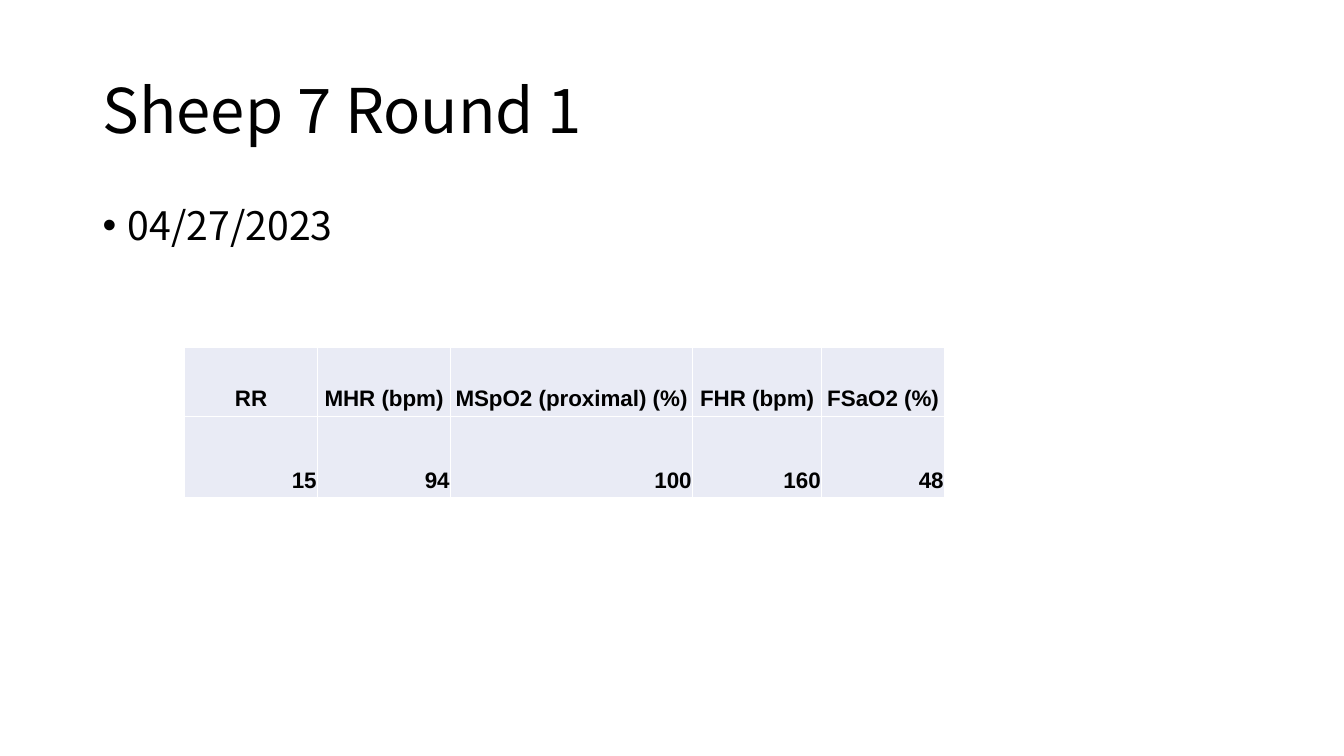
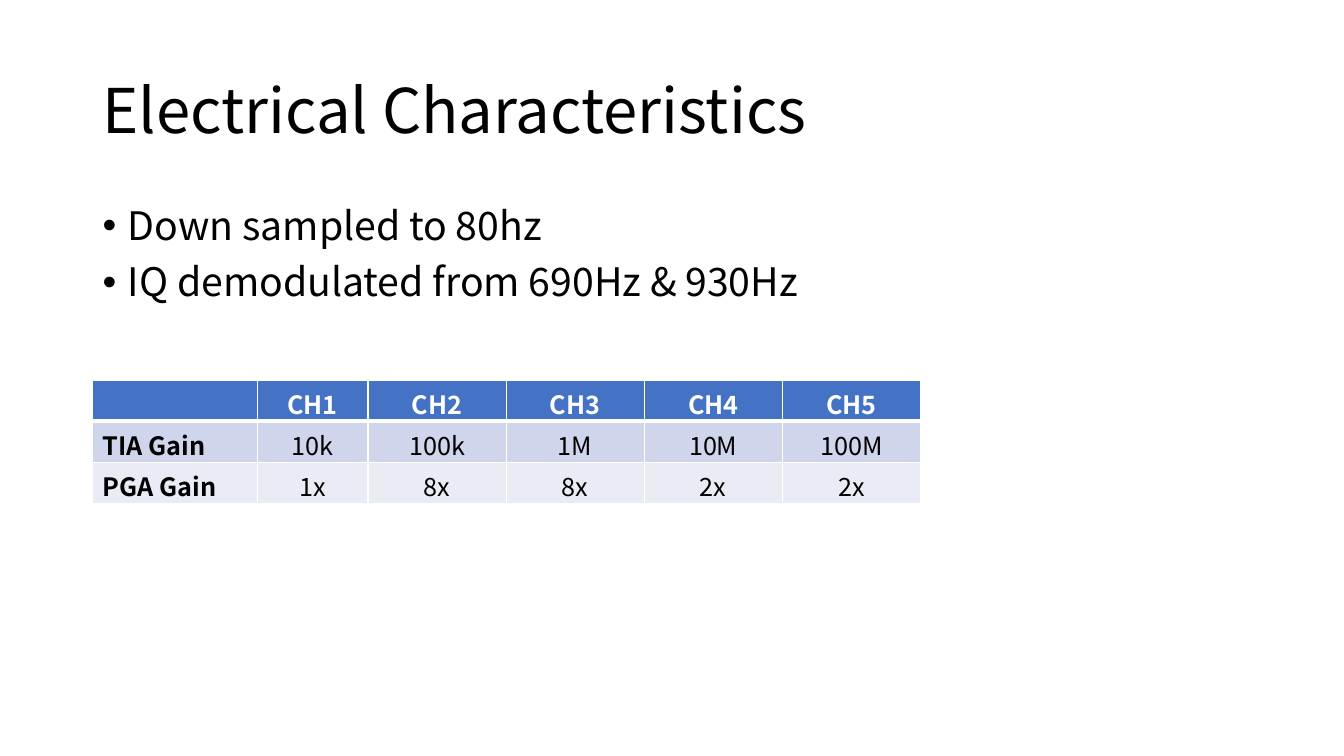
from lxml.etree import SubElement
from pptx import Presentation
from pptx.dml.color import RGBColor
from pptx.enum.text import MSO_ANCHOR as Anchor, PP_ALIGN as Align
from pptx.oxml.ns import qn
from pptx.util import Inches, Pt

COLORS = {
    "text": "000000",
    "white": "FFFFFF",
    "header": "4472C4",
    "band_dark": "CFD5EA",
    "band_light": "E9EBF5",
}
FONT = "Noto Sans CJK SC"
TABLE_FONT = "Arial"
TITLE_BOX = (0.92, 0.4, 11.5, 1.45)
BODY_BOX = (0.92, 2, 11.5, 4.76)


def rgb(name):
    return RGBColor.from_string(COLORS[name])


def style_font(paragraph, size, name=FONT, color="text", bold=False):
    font = paragraph.font
    font.size, font.name, font.bold = Pt(size), name, bold
    font.color.rgb = rgb(color)


def add_text(slide, box, lines, size, anchor):
    """Add a text box with one paragraph per line and return its paragraphs."""
    frame = slide.shapes.add_textbox(*map(Inches, box)).text_frame
    frame.word_wrap = True
    frame.vertical_anchor = anchor
    frame.text = "\n".join(lines)
    for paragraph in frame.paragraphs:
        paragraph.line_spacing = 0.9
        style_font(paragraph, size)
    return frame.paragraphs


def add_bullets(slide, box, lines):
    for paragraph in add_text(slide, box, lines, 28, Anchor.TOP):
        paragraph.space_before = Pt(10)
        properties = paragraph._p.get_or_add_pPr()
        properties.set("marL", str(Inches(0.25)))
        properties.set("indent", str(-Inches(0.25)))
        bullet_font = SubElement(properties, qn("a:buFont"))
        bullet_font.set("typeface", "Arial")
        SubElement(properties, qn("a:buChar")).set("char", "•")


def add_content_slide(presentation, title, bullets):
    slide = presentation.slides.add_slide(presentation.slide_layouts[6])
    add_text(slide, TITLE_BOX, [title], 44, Anchor.MIDDLE)
    add_bullets(slide, BODY_BOX, bullets)
    return slide


def set_borders(cell, top=1, bottom=1):
    """Draw white cell borders; call before filling the cell."""
    properties = cell._tc.get_or_add_tcPr()
    for side, width in (("L", 1), ("R", 1), ("T", top), ("B", bottom)):
        line = SubElement(properties, qn(f"a:ln{side}"))
        line.set("w", str(Pt(width)))
        fill = SubElement(line, qn("a:solidFill"))
        SubElement(fill, qn("a:srgbClr")).set("val", COLORS["white"])


def add_grid(slide, left, top, widths, heights, rows):
    """Add a table and yield its cells as (row, column, cell)."""
    box = map(Inches, (left, top, sum(widths), sum(heights)))
    table = slide.shapes.add_table(len(rows), len(widths), *box).table
    for column, width in zip(table.columns, widths):
        column.width = Inches(width)
    for row, height in zip(table.rows, heights):
        row.height = Inches(height)
    for row_index, values in enumerate(rows):
        for column_index, value in enumerate(values):
            cell = table.cell(row_index, column_index)
            cell.text = value
            yield row_index, column_index, cell


def fill_cell(cell, color):
    cell.fill.solid()
    cell.fill.fore_color.rgb = rgb(color)


def add_vitals_table(slide, left, top):
    rows = [
        ["RR", "MHR (bpm)", "MSpO2 (proximal) (%)", "FHR (bpm)", "FSaO2 (%)"],
        ["15", "94", "100", "160", "48"],
    ]
    widths = [1.32, 1.32, 2.4, 1.28, 1.22]
    for row, _, cell in add_grid(slide, left, top, widths, [0.68, 0.81], rows):
        set_borders(cell)
        fill_cell(cell, "band_light")
        cell.vertical_anchor = Anchor.BOTTOM
        cell.margin_left = cell.margin_top = cell.margin_right = Inches(0.01)
        cell.margin_bottom = Inches(0.05)
        paragraph = cell.text_frame.paragraphs[0]
        paragraph.alignment = Align.RIGHT if row else Align.CENTER
        style_font(paragraph, 16, TABLE_FONT, bold=True)


def add_gain_table(slide, left, top):
    rows = [
        ["", "CH1", "CH2", "CH3", "CH4", "CH5"],
        ["TIA Gain", "10k", "100k", "1M", "10M", "100M"],
        ["PGA Gain", "1x", "8x", "8x", "2x", "2x"],
    ]
    fills = ["header", "band_dark", "band_light"]
    widths = [1.63, 1.1] + [1.37] * 4
    for row, column, cell in add_grid(slide, left, top, widths, [0.41] * 3, rows):
        is_header = row == 0
        set_borders(cell, top=3 if row == 1 else 1, bottom=3 if is_header else 1)
        fill_cell(cell, fills[row])
        cell.vertical_anchor = Anchor.MIDDLE
        paragraph = cell.text_frame.paragraphs[0]
        paragraph.alignment = Align.CENTER if column else Align.LEFT
        style_font(paragraph, 18, color="white" if is_header else "text",
                   bold=is_header or column == 0)


def main():
    presentation = Presentation()
    presentation.slide_width = Inches(13.33)
    presentation.slide_height = Inches(7.5)

    round_slide = add_content_slide(presentation, "Sheep 7 Round 1", ["04/27/2023"])
    add_vitals_table(round_slide, 1.83, 3.45)

    electrical_slide = add_content_slide(
        presentation,
        "Electrical Characteristics",
        ["Down sampled to 80hz", "IQ demodulated from 690Hz & 930Hz"],
    )
    add_gain_table(electrical_slide, 0.92, 3.77)

    presentation.save("out.pptx")


if __name__ == "__main__":
    main()
